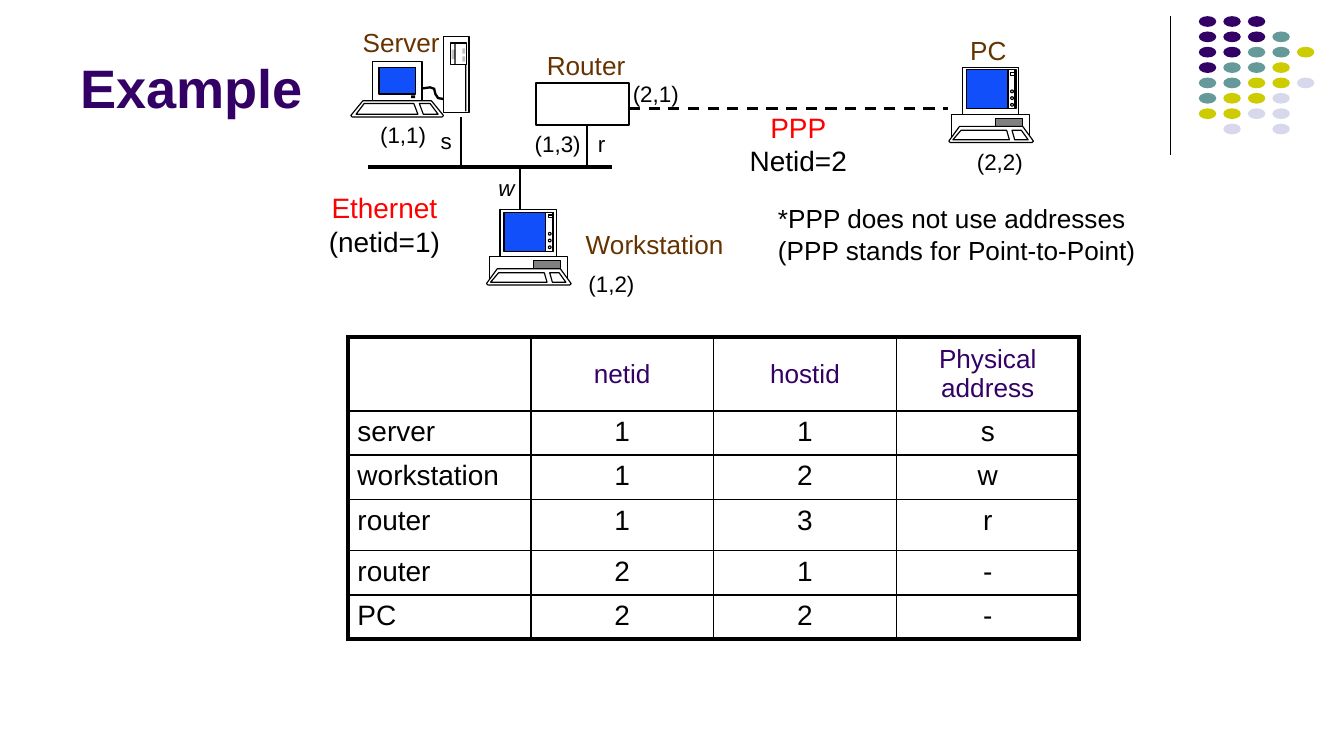
import pptx
import pptx.util
import pptx.dml.color
import pptx.enum.dml
import pptx.enum.shapes
import pptx.enum.text
import pptx.oxml
import pptx.oxml.ns
from lxml import etree

Inches = pptx.util.Inches
RGBColor = pptx.dml.color.RGBColor
BLACK = RGBColor(0, 0, 0)
WHITE = RGBColor(255, 255, 255)
PURPLE = RGBColor(0x33, 0, 0x66)
TEAL = RGBColor(0x66, 0x99, 0x99)
LIME = RGBColor(0xCC, 0xCC, 0)
LILAC = RGBColor(0xD8, 0xD8, 0xEC)
BLUE = RGBColor(0x11, 0x4F, 0xFB)
GRAY = RGBColor(0x80, 0x80, 0x80)
SILVER = RGBColor(0xC0, 0xC0, 0xC0)
BROWN = RGBColor(0x66, 0x33, 0)
RED = RGBColor(255, 0, 0)
RECT = pptx.enum.shapes.MSO_SHAPE.RECTANGLE
OVAL = pptx.enum.shapes.MSO_SHAPE.OVAL
ALIGN = pptx.enum.text.PP_ALIGN
ANCHOR = pptx.enum.text.MSO_ANCHOR

deck = pptx.Presentation()
deck.slide_width = Inches(10)
deck.slide_height = Inches(10 * 9 / 16)
slide = deck.slides.add_slide(deck.slide_layouts[6])
shapes = slide.shapes


def write(text, frame=None, box=None, size=12, color=BLACK, bold=False,
          italic=False, align=ALIGN.LEFT, anchor=ANCHOR.TOP, wrap=False):
    if frame is None:
        frame = shapes.add_textbox(*map(Inches, box)).text_frame
        frame.word_wrap = wrap
        frame.vertical_anchor = anchor
    colors = color if isinstance(color, list) else [color]
    for i, line in enumerate(text.split("\n")):
        para = frame.paragraphs[0] if i == 0 else frame.add_paragraph()
        para.alignment = align
        run = para.add_run()
        run.text = line
        run.font.name = "Arial"
        run.font.size = pptx.util.Pt(size)
        run.font.bold = bold
        run.font.italic = italic
        run.font.color.rgb = colors[min(i, len(colors) - 1)]


def draw(form, dims, fill=WHITE, line=0.63, left=0, top=0):
    if form == "path":
        points = [(Inches(left + x), Inches(top + y)) for x, y in dims]
        pen = shapes.build_freeform(*points[0])
        pen.add_line_segments(points[1:], close=fill is not None)
        shape = pen.convert_to_shape()
    else:
        x, y, w, h = dims
        shape = shapes.add_shape(form, Inches(left + x), Inches(top + y), Inches(w), Inches(h))
    shape.shadow.inherit = False
    if fill is None:
        shape.fill.background()
    else:
        shape.fill.solid()
        shape.fill.fore_color.rgb = fill
    if line:
        shape.line.color.rgb = BLACK
        shape.line.width = pptx.util.Pt(line)
    else:
        shape.line.fill.background()


hues = {"P": PURPLE, "T": TEAL, "Y": LIME, "L": LILAC}
dots = ["PPP", "PPPT", "PPTTY", "PTTY", "TTYYL", "TYYL", "YYLL", "-L-L"]
for row, marks in enumerate(dots):
    for col, mark in enumerate(marks):
        if mark in hues:
            draw(OVAL, (8.92 + 0.73 / 4 * col, 0.12 + 0.8 / 7 * row, 0.13, 0.08), hues[mark], 0)

links = [
    (8.71, 0.12, 8.71, 1.15, 0.75),
    (2.74, 1.24, 4.55, 1.24, 2.25),
    (3.43, 0.87, 3.43, 1.24, 1),
    (3.87, 1.24, 3.87, 1.56, 1),
    (4.37, 0.93, 4.37, 1.24, 1),
    (4.68, 0.81, 7.05, 0.81, 1.5),
]
for *ends, width in links:
    link = shapes.add_connector(pptx.enum.shapes.MSO_CONNECTOR.STRAIGHT, *map(Inches, ends))
    link.line.color.rgb = BLACK
    link.line.width = pptx.util.Pt(width)
    if width == 1.5:
        link.line.dash_style = pptx.enum.dml.MSO_LINE.DASH
    etree.SubElement(link._element.spPr, pptx.oxml.ns.qn("a:effectLst"))

desktop = [
    (RECT, (0.02, 0.35, 0.58, 0.18), WHITE),
    (RECT, (0.35, 0.38, 0.2, 0.08), GRAY),
    ("path", [(0.08, 0.44), (0.55, 0.44), (0.63, 0.55), (0.62, 0.56), (0.01, 0.56), (0, 0.55)], WHITE),
    ("path", [(0.09, 0.47), (0.43, 0.47), (0.45, 0.54), (0.03, 0.54)], WHITE),
    ("path", [(0.47, 0.47), (0.54, 0.47), (0.59, 0.54), (0.49, 0.54)], WHITE),
    (RECT, (0.1, 0, 0.42, 0.35), WHITE),
    (RECT, (0.13, 0.02, 0.37, 0.29), BLUE),
    (RECT, (0.44, 0.02, 0.05, 0.29), WHITE),
    (RECT, (0.46, 0.04, 0.03, 0.02), WHITE),
]
desktop += [(OVAL, (0.46, y, 0.02, 0.02), WHITE) for y in (0.17, 0.22, 0.27)]
for left, top in [(3.62, 1.56), (7.06, 0.5)]:
    for form, dims, fill in desktop:
        draw(form, dims, fill, left=left, top=top)

server = [
    ("path", [(3.13, 0.66), (3.2, 0.65), (3.23, 0.66), (3.24, 0.7), (3.26, 0.73), (3.32, 0.74)], None, 1.25),
    ("path", [(2.7, 0.75), (3.21, 0.75), (3.3, 0.86), (3.29, 0.87), (2.62, 0.87), (2.61, 0.86)], WHITE, 0.63),
    ("path", [(2.71, 0.77), (3.08, 0.77), (3.11, 0.85), (2.65, 0.85)], WHITE, 0.63),
    ("path", [(3.12, 0.77), (3.2, 0.77), (3.26, 0.85), (3.15, 0.85)], WHITE, 0.63),
    (RECT, (2.77, 0.46, 0.37, 0.29), WHITE, 0.63),
    (RECT, (2.82, 0.5, 0.27, 0.2), BLUE, 0.63),
    (RECT, (3.06, 0.71, 0.03, 0.02), BLACK, 0),
    (RECT, (3.3, 0.27, 0.19, 0.57), WHITE, 0.63),
    (RECT, (3.35, 0.32, 0.12, 0.16), WHITE, 0.63),
    (RECT, (3.46, 0.48, 0.01, 0.35), BLACK, 0),
    (RECT, (3.36, 0.37, 0.03, 0.07), SILVER, 0),
    (RECT, (3.38, 0.32, 0.01, 0.16), BLACK, 0),
    (RECT, (3.44, 0.36, 0.02, 0.04), SILVER, 0),
    (RECT, (3.44, 0.42, 0.02, 0.04), SILVER, 0),
]
for part in server:
    draw(*part)
draw(RECT, (3.99, 0.62, 0.69, 0.31), WHITE, 1)

tags = [
    ("(1,1)", 2.73, 0.85, 0.55), ("s", 3.18, 0.9, 0.29), ("(1,2)", 4.28, 1.96, 0.72),
    ("w", 3.61, 1.25, 0.32), ("(2,1)", 4.61, 0.55, 0.55), ("(1,3)", 3.88, 0.92, 0.55),
    ("r", 4.35, 0.92, 0.26), ("(2,2)", 7.17, 1.05, 0.55),
]
for text, x, y, w in tags:
    write(text, box=(x, y, w, 0.3), italic=text == "w")

names = [
    ("PC", 7.12, 0.21, 0.48), ("Server", 2.6, 0.15, 0.78),
    ("Router", 3.97, 0.32, 0.9), ("Workstation", 4.26, 1.65, 1.23),
]
for text, x, y, w in names:
    write(text, box=(x, y, w, 0.34), size=14, color=BROWN)

write("PPP\nNetid=2", box=(5.47, 0.77, 0.94, 0.61), size=15, color=[RED, BLACK], align=ALIGN.CENTER)
write("Ethernet\n(netid=1)", box=(2.3, 1.37, 1.12, 0.6), size=15, color=[RED, BLACK],
      align=ALIGN.CENTER, wrap=True)
write("*PPP does not use addresses\n(PPP stands for Point-to-Point)", box=(5.69, 1.46, 2.89, 0.57), size=14)
write("Example", box=(0.5, 0.1, 2.07, 0.84), size=29, color=PURPLE, bold=True,
      anchor=ANCHOR.BOTTOM, wrap=True)

hosts = [
    ("", "netid", "hostid", "Physical address"),
    ("server", "1", "1", "s"),
    ("workstation", "1", "2", "w"),
    ("router", "1", "3", "r"),
    ("router", "2", "1", "-"),
    ("PC", "2", "2", "-"),
]
table = shapes.add_table(6, 4, Inches(2.59), Inches(2.51), Inches(5.44), Inches(2.22)).table
table.first_row = table.horz_banding = False
for col in table.columns:
    col.width = Inches(1.36)
for row, high in zip(table.rows, (0.54, 0.33, 0.32, 0.38, 0.32, 0.33)):
    row.height = Inches(high)
for r, host in enumerate(hosts):
    for c, text in enumerate(host):
        cell = table.cell(r, c)
        cell.fill.background()
        cell.margin_left = cell.margin_right = Inches(0.07)
        cell.margin_top = cell.margin_bottom = Inches(0.04)
        cell.vertical_anchor = ANCHOR.TOP if r else ANCHOR.MIDDLE
        if text:
            write(text, frame=cell.text_frame, size=15 if r else 14, color=BLACK if r else PURPLE,
                  align=ALIGN.CENTER if c else ALIGN.LEFT)
        edges = [("L", c == 0), ("R", c == 3), ("T", r == 0), ("B", r == 5)]
        for i, (side, outer) in enumerate(edges):
            width = pptx.util.Pt(2.25 if outer else 1)
            edge = pptx.oxml.parse_xml(
                f'<a:ln{side} {pptx.oxml.ns.nsdecls("a")} w="{width}">'
                f'<a:solidFill><a:srgbClr val="{BLACK}"/></a:solidFill></a:ln{side}>')
            cell._tc.get_or_add_tcPr().insert(i, edge)

deck.save("out.pptx")
